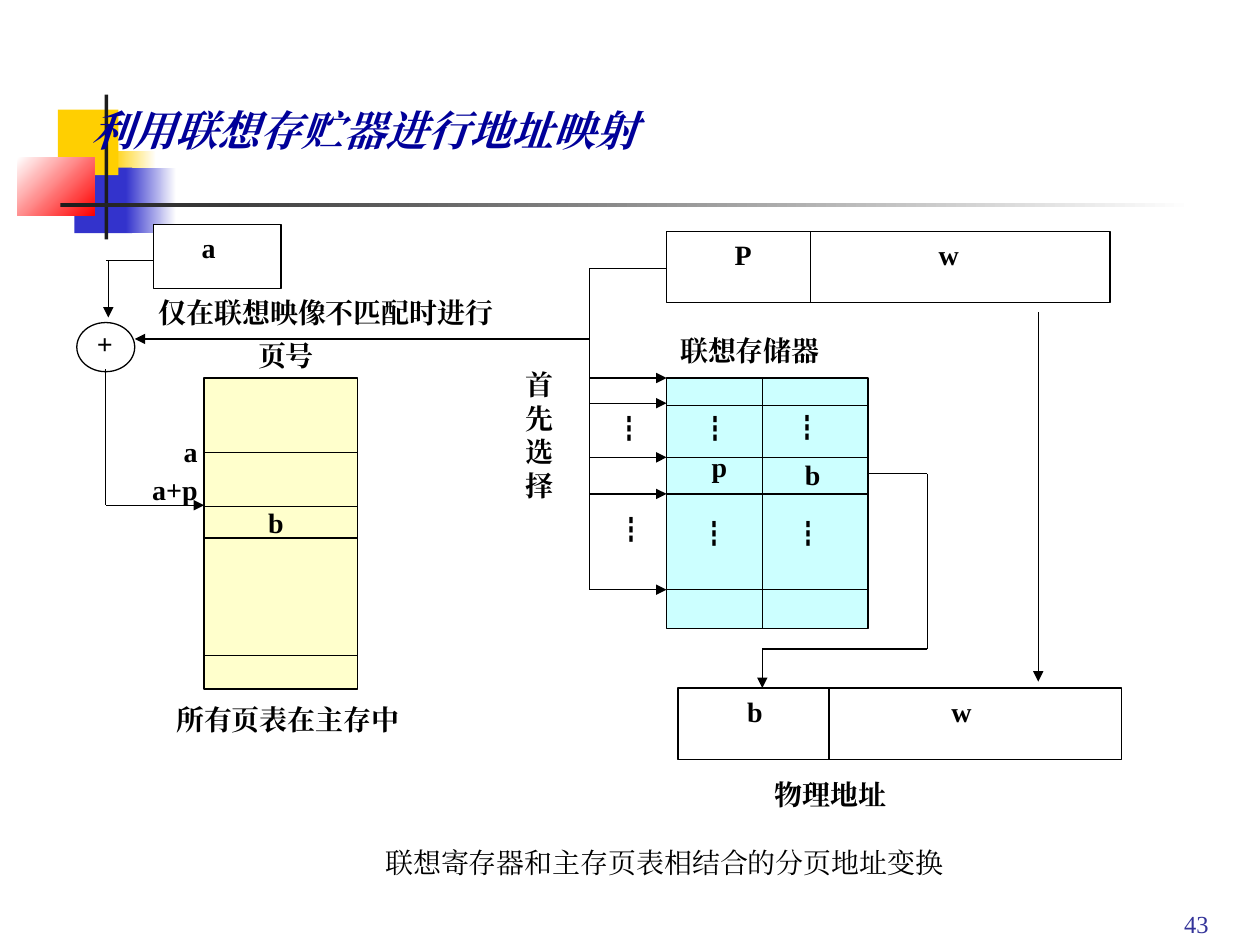
import pptx
import pptx.util
import pptx.dml.color
import pptx.enum.dml
import pptx.enum.shapes
import pptx.enum.text
import pptx.oxml.ns
from lxml import etree
from pptx.dml.color import RGBColor
from pptx.util import Inches

BLACK = RGBColor(0x00, 0x00, 0x00)
WHITE = RGBColor(0xFF, 0xFF, 0xFF)
CHARCOAL = RGBColor(0x1C, 0x1C, 0x1C)
GOLD = RGBColor(0xFF, 0xCF, 0x01)
BLUE = RGBColor(0x33, 0x33, 0xCC)
RED = RGBColor(0xFF, 0x00, 0x00)
NAVY = RGBColor(0x00, 0x00, 0x99)
NUMBER_BLUE = RGBColor(0x33, 0x33, 0x99)
CREAM = RGBColor(0xFF, 0xFF, 0xCC)
AQUA = RGBColor(0xCC, 0xFF, 0xFF)
SERIF = "Times New Roman"
CJK = "Noto Sans CJK SC"
RECTANGLE = pptx.enum.shapes.MSO_SHAPE.RECTANGLE
ALIGN = pptx.enum.text.PP_ALIGN

# Content: title and decoration (left, top, width, height, colours, angle)
TITLE = "利用联想存贮器进行地址映射"
DECORATION = [
    (0.88, 1.2, 0.36, 0.52, (GOLD, WHITE), 0),
    (0.59, 1.33, 0.46, 0.52, (BLUE,), 0),
    (0.46, 0.87, 0.48, 0.52, (GOLD,), 0),
    (1, 1.33, 0.4, 0.52, (BLUE, WHITE), 0),
    (0.14, 1.25, 0.61, 0.46, (WHITE, RED), 315),
    (0.83, 0.75, 0.03, 1.15, (CHARCOAL,), 0),
    (0.48, 1.61, 9, 0.03, (CHARCOAL, WHITE), 0),
]

# Content: registers (left, top, width, height, text, text inset, divider x)
REGISTERS = [
    (1.22, 1.78, 1.01, 0.51, "a", 0.38, None),
    (5.29, 1.84, 3.52, 0.56, "P\tw", 0.54, 6.43),
    (5.38, 5.46, 3.52, 0.57, "b\tw", 0.55, 6.58),
]
WORD_TAB = 1.62

# Content: tables (left, top, width, height, colour, row lines, column lines)
TABLES = [
    (1.62, 3, 1.22, 2.47, CREAM, (3.59, 4.02, 4.27, 5.2), ()),
    (5.29, 3, 1.6, 1.99, AQUA, (3.22, 3.63, 3.92, 4.68), (6.05,)),
]

# Content: signal routes as corner points, and whether they end in an arrow
BUS_X = 4.68
SEARCH_ROWS = (3, 3.2, 3.63, 3.92, 4.68)
ROUTES = [
    ([(5.29, 2.13), (BUS_X, 2.13), (BUS_X, 4.68)], False),
    ([(BUS_X, 2.69), (1.07, 2.69)], True),
    ([(1.22, 2.07), (0.84, 2.07)], False),
    ([(0.86, 2.07), (0.86, 2.52)], True),
    ([(0.84, 2.93), (0.84, 4.01), (1.62, 4.01)], True),
    ([(6.89, 3.76), (7.36, 3.76), (7.36, 5.15), (6.05, 5.15), (6.05, 5.46)], True),
    ([(8.24, 2.48), (8.24, 5.41)], True),
] + [([(BUS_X, y), (5.29, y)], True) for y in SEARCH_ROWS]

# Content: labels (text, left, top, width, height)
LABELS = [
    ("+", 0.67, 2.54, 0.53, 0.55),
    ("仅在联想映像不匹配时进行", 1.16, 2.3, 3.19, 0.41),
    ("页号", 1.95, 2.64, 0.91, 0.49),
    ("首\n先\n选\n择", 4.07, 2.87, 0.45, 1.41),
    ("联想存储器", 5.3, 2.6, 1.51, 0.44),
    ("所有页表在主存中", 1.3, 5.53, 2.43, 0.59),
    ("物理地址", 6.05, 6.12, 1.52, 0.66),
    ("p", 5.55, 3.52, 0.46, 0.49),
    ("b", 6.29, 3.58, 0.46, 0.49),
    ("b", 2.03, 3.96, 0.46, 0.49),
    ("a+p", 1.11, 3.7, 0.76, 0.49),
    ("a", 1.36, 3.4, 0.46, 0.49),
]
ELLIPSIS = "┇"
ELLIPSIS_SPOTS = [(4.79, 3.22), (5.47, 3.22), (6.2, 3.21),
                  (4.8, 4.02), (5.46, 4.05), (6.21, 4.05)]
CAPTION = "联想寄存器和主存页表相结合的分页地址变换"
PAGE_NUMBER = "43"


def write(shape, text, size=16, face=SERIF, color=BLACK, bold=True, italic=False,
          align=ALIGN.LEFT, spacing=None, inset=0.1, tab=None):
    frame = shape.text_frame
    frame.word_wrap = True
    frame.auto_size = pptx.enum.text.MSO_AUTO_SIZE.NONE
    frame.vertical_anchor = pptx.enum.text.MSO_ANCHOR.TOP
    frame.margin_left = Inches(inset)
    frame.margin_right = Inches(0.1)
    frame.margin_top = frame.margin_bottom = Inches(0.05)
    for index, line in enumerate(text.split("\n")):
        para = frame.add_paragraph() if index else frame.paragraphs[0]
        para.alignment = align
        if spacing:
            para.line_spacing = spacing
        if tab:
            tabs = etree.SubElement(para._p.get_or_add_pPr(), pptx.oxml.ns.qn("a:tabLst"))
            etree.SubElement(tabs, pptx.oxml.ns.qn("a:tab"), pos=str(Inches(tab)), algn="l")
        span = para.add_run()
        span.text = line
        font = span.font
        font.name, font.size = face, pptx.util.Pt(size)
        font.bold, font.italic = bold, italic
        font.color.rgb = color
        etree.SubElement(span._r.get_or_add_rPr(), pptx.oxml.ns.qn("a:ea"), typeface=face)


def add_label(page, text, left, top, width, height, **style):
    box = page.shapes.add_textbox(*map(Inches, (left, top, width, height)))
    write(box, text, **style)


def add_block(page, left, top, width, height, colors, angle=0, kind=RECTANGLE, outline=True):
    block = page.shapes.add_shape(kind, *map(Inches, (left, top, width, height)))
    block.shadow.inherit = False
    if len(colors) == 1:
        block.fill.solid()
        block.fill.fore_color.rgb = colors[0]
    else:
        block.fill.gradient()
        block.fill.gradient_angle = angle
        for stop, color, position in zip(block.fill.gradient_stops, colors, (0, 1)):
            stop.color.rgb = color
            stop.position = position
    if outline:
        block.line.color.rgb = BLACK
        block.line.width = pptx.util.Pt(0.75)
    else:
        block.line.fill.background()
    return block


def add_line(page, start, end, arrow=False):
    line = page.shapes.add_connector(pptx.enum.shapes.MSO_CONNECTOR.STRAIGHT,
                                     *map(Inches, (*start, *end)))
    line.line.color.rgb = BLACK
    line.line.width = pptx.util.Pt(0.75)
    if arrow:
        etree.SubElement(line.line._get_or_add_ln(), pptx.oxml.ns.qn("a:tailEnd"), type="triangle")
    etree.SubElement(line._element.spPr, pptx.oxml.ns.qn("a:effectLst"))


def main():
    deck = pptx.Presentation()
    deck.slide_width, deck.slide_height = Inches(10), Inches(7.5)
    page = deck.slides.add_slide(deck.slide_layouts[5])

    # Corner decoration, with the title in front of it
    for left, top, width, height, colors, angle in DECORATION:
        add_block(page, left, top, width, height, colors, angle, outline=False)
    title = page.shapes.title
    title.left, title.top, title.width, title.height = map(Inches, (0.13, 0.7, 6.05, 0.58))
    write(title, TITLE, size=24, color=NAVY, italic=True, spacing=1.2, inset=0.6)
    title.element.getparent().append(title.element)

    # Registers
    for left, top, width, height, text, inset, divider in REGISTERS:
        block = add_block(page, left, top, width, height, (WHITE,))
        write(block, text, inset=inset, tab=WORD_TAB if divider else None)
        if divider:
            add_line(page, (divider, top), (divider, top + height))

    # Page table and associative memory
    for left, top, width, height, color, rows, columns in TABLES:
        add_block(page, left, top, width, height, (color,))
        for y in rows:
            add_line(page, (left, y), (left + width, y))
        for x in columns:
            add_line(page, (x, top), (x, top + height))

    # Adder and signal routes
    add_block(page, 0.61, 2.56, 0.46, 0.39, (WHITE,), kind=pptx.enum.shapes.MSO_SHAPE.OVAL)
    for points, arrow in ROUTES:
        for index in range(1, len(points)):
            last = index == len(points) - 1
            add_line(page, points[index - 1], points[index], arrow and last)

    # Labels, caption and page number
    for label in LABELS:
        add_label(page, *label)
    for left, top in ELLIPSIS_SPOTS:
        add_label(page, ELLIPSIS, left, top, 0.46, 0.49, face=CJK)
    add_label(page, CAPTION, 2.75, 6.66, 4.84, 0.37, bold=False, align=ALIGN.RIGHT)
    add_label(page, PAGE_NUMBER, 9.29, 7.12, 0.41, 0.38, size=14, color=NUMBER_BLUE,
              bold=False, align=ALIGN.CENTER, spacing=1.2)

    deck.save("out.pptx")


if __name__ == "__main__":
    main()
